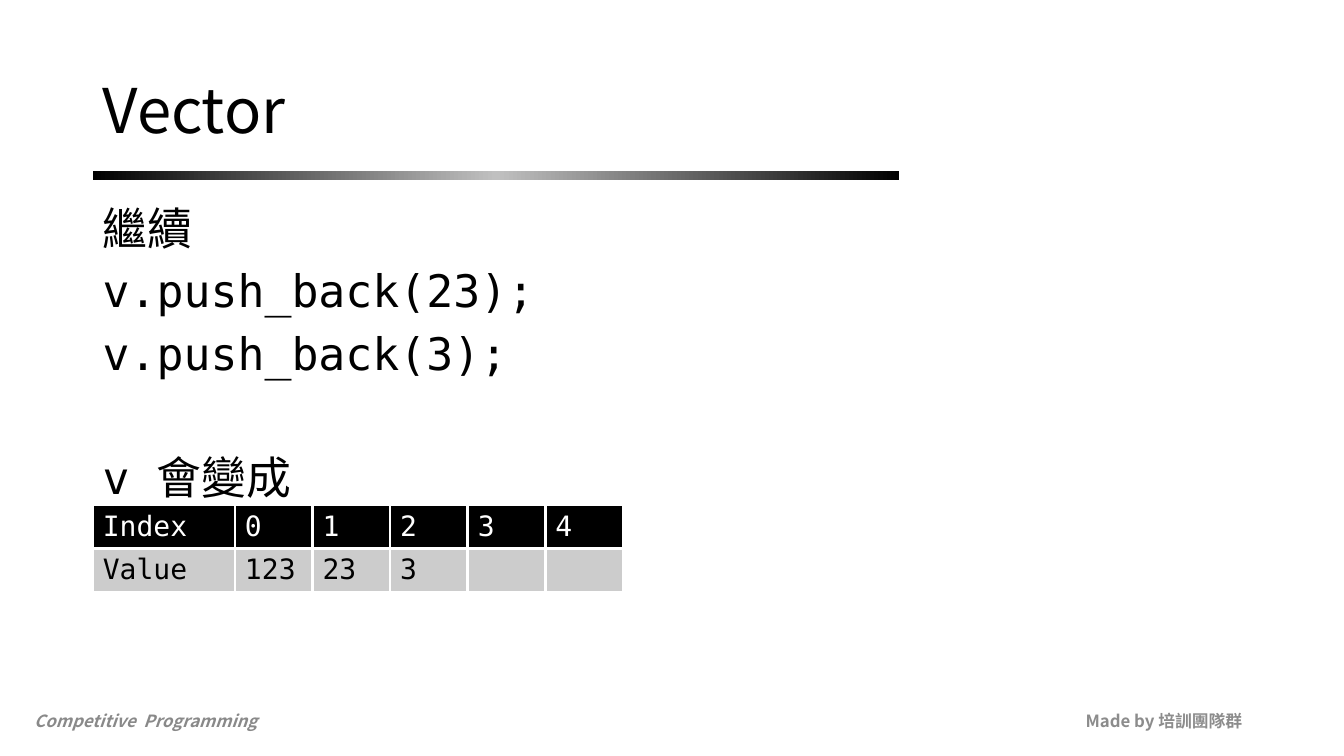
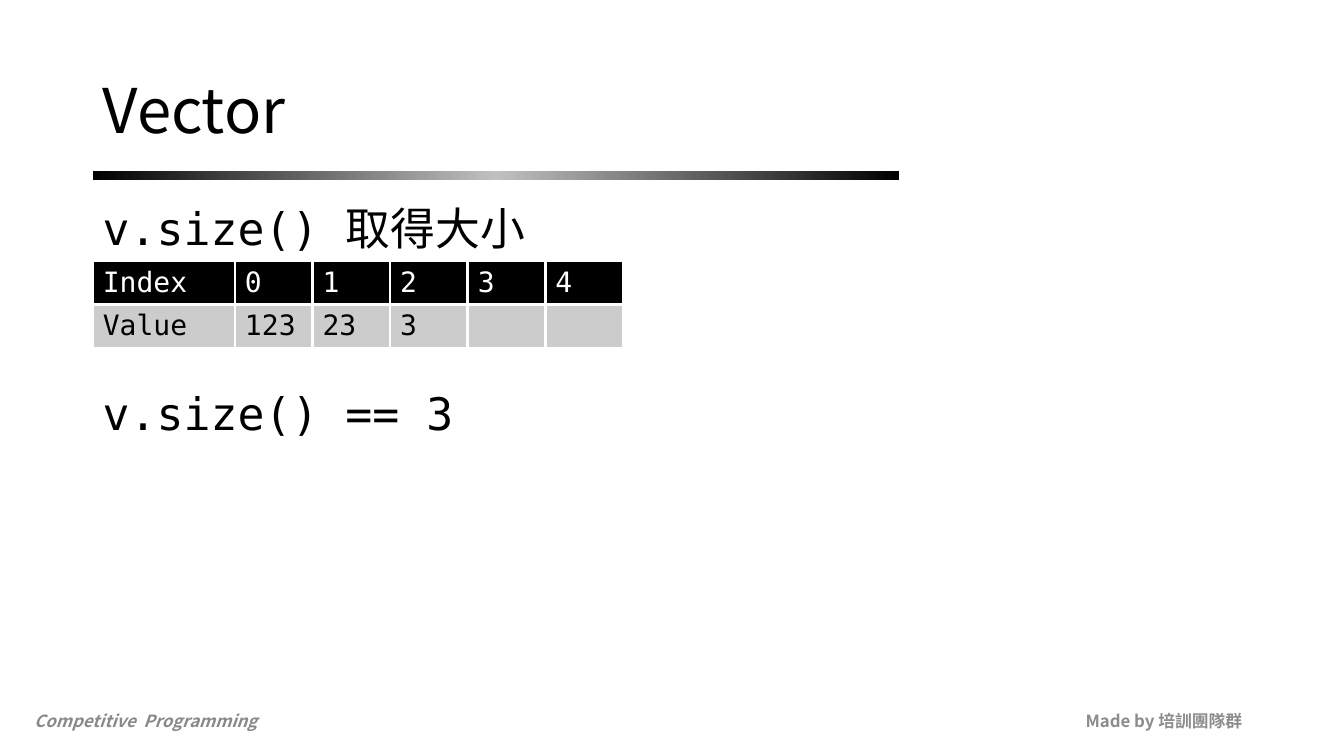
import copy

import pptx
import pptx.dml.color
import pptx.enum.shapes
import pptx.enum.text
import pptx.oxml
import pptx.oxml.ns
import pptx.util
from pptx.util import Inches

SANS = "Noto Sans CJK SC"
MONO = "DejaVu Sans Mono"
BLACK, WHITE = "000000", "FFFFFF"
BAR_STOPS = [(0, BLACK), (0.5, "C0C0C0"), (1, BLACK)]
VALUE_FILL = "CCCCCC"
LEFT = 0.92
CONTENT_WIDTH = 11.5
FOOTER_TOP, FOOTER_WIDTH, FOOTER_HEIGHT = 6.95, 3, 0.4
LABEL_WIDTH, INDEX_WIDTH, ROW_HEIGHT = 1.41, 0.77, 0.43
BORDER_WIDTH = 2.25
LINE_GAP = 10

ALIGN = pptx.enum.text.PP_ALIGN
ANCHOR = pptx.enum.text.MSO_ANCHOR

VECTOR_ROWS = [
    ["Index", "0", "1", "2", "3", "4"],
    ["Value", "123", "23", "3", "", ""],
]


def rgb(value):
    return pptx.dml.color.RGBColor.from_string(value)


def write(para, text, size, font=SANS, color=BLACK, bold=False, italic=False,
          align=ALIGN.LEFT, line_spacing=None, before=0):
    """Fill a paragraph with one formatted span."""
    para.alignment = align
    para.line_spacing = line_spacing
    para.space_before = pptx.util.Pt(before)
    span = para.add_run()
    span.text = text
    span.font.size = pptx.util.Pt(size)
    span.font.name = font
    span.font.bold = bold
    span.font.italic = italic
    span.font.color.rgb = rgb(color)
    east_asian = pptx.oxml.parse_xml(
        f'<a:ea {pptx.oxml.ns.nsdecls("a")} typeface="{SANS}"/>')
    span.font._element.find(pptx.oxml.ns.qn("a:latin")).addnext(east_asian)


def add_frame(page, left, top, width, height, anchor=ANCHOR.MIDDLE):
    box = page.shapes.add_textbox(
        Inches(left), Inches(top), Inches(width), Inches(height))
    frame = box.text_frame
    frame.word_wrap = True
    frame.vertical_anchor = anchor
    return frame


def add_footer(page, left, text, **style):
    frame = add_frame(page, left, FOOTER_TOP, FOOTER_WIDTH, FOOTER_HEIGHT)
    write(frame.paragraphs[0], text, 12, bold=True, **style)


def add_title_bar(page):
    bar = page.shapes.add_shape(
        pptx.enum.shapes.MSO_SHAPE.RECTANGLE,
        Inches(LEFT), Inches(1.7), Inches(8), Inches(0.09))
    bar.shadow.inherit = False
    bar.line.fill.background()
    bar.fill.gradient()
    bar.fill.gradient_angle = 0
    stop_list = bar._element.spPr.find(".//" + pptx.oxml.ns.qn("a:gsLst"))
    stop_list.append(copy.deepcopy(stop_list[0]))
    for stop, (position, color) in zip(bar.fill.gradient_stops, BAR_STOPS):
        stop.position = position
        stop.color.rgb = rgb(color)


def add_page(deck, title):
    """Add a page with the shared footers, bar and title."""
    page = deck.slides.add_slide(deck.slide_layouts[6])
    add_footer(page, 9.42, "Made by 培訓團隊群", color="8C8C8C", align=ALIGN.RIGHT)
    add_footer(page, 0.24, "Competitive  Programming", color="898989", italic=True)
    add_title_bar(page)
    frame = add_frame(page, LEFT, 0.4, CONTENT_WIDTH, 1.45)
    write(frame.paragraphs[0], title, 44, line_spacing=0.9)
    return page


def add_body(page, lines):
    """Write (text, space before in points) pairs as the body."""
    frame = add_frame(page, LEFT, 2, CONTENT_WIDTH, 4.76, ANCHOR.TOP)
    for number, (text, before) in enumerate(lines):
        para = frame.add_paragraph() if number else frame.paragraphs[0]
        write(para, text, 32, font=MONO, line_spacing=0.9, before=before)


def set_borders(cell):
    properties = cell._tc.get_or_add_tcPr()
    for side in ("lnL", "lnR", "lnT", "lnB"):
        properties.append(pptx.oxml.parse_xml(
            f'<a:{side} {pptx.oxml.ns.nsdecls("a")} '
            f'w="{pptx.util.Pt(BORDER_WIDTH)}"><a:solidFill>'
            f'<a:srgbClr val="{WHITE}"/></a:solidFill></a:{side}>'))


def add_vector_table(page, top, rows):
    count = len(rows[0])
    widths = [LABEL_WIDTH] + [INDEX_WIDTH] * (count - 1)
    table = page.shapes.add_table(
        len(rows), count, Inches(LEFT), Inches(top),
        Inches(sum(widths)), Inches(ROW_HEIGHT * len(rows))).table
    table.horz_banding = False
    table.first_row = False
    for column, width in zip(table.columns, widths):
        column.width = Inches(width)
    styles = [(BLACK, WHITE), (VALUE_FILL, BLACK)]
    for row, texts, (fill, color) in zip(table.rows, rows, styles):
        row.height = Inches(ROW_HEIGHT)
        for cell, text in zip(row.cells, texts):
            set_borders(cell)
            cell.fill.solid()
            cell.fill.fore_color.rgb = rgb(fill)
            if text:
                write(cell.text_frame.paragraphs[0], text, 20,
                      font=MONO, color=color)


def main():
    deck = pptx.Presentation()
    deck.slide_width = Inches(13.33)
    deck.slide_height = Inches(7.5)

    page = add_page(deck, "Vector")
    add_body(page, [
        ("繼續", LINE_GAP),
        ("v.push_back(23);", LINE_GAP),
        ("v.push_back(3);", LINE_GAP),
        ("v 會變成", 54),
    ])
    add_vector_table(page, 5.01, VECTOR_ROWS)

    page = add_page(deck, "Vector")
    add_body(page, [
        ("v.size() 取得大小", LINE_GAP),
        ("v.size() == 3", 98),
    ])
    add_vector_table(page, 2.59, VECTOR_ROWS)

    deck.save("out.pptx")


if __name__ == "__main__":
    main()
